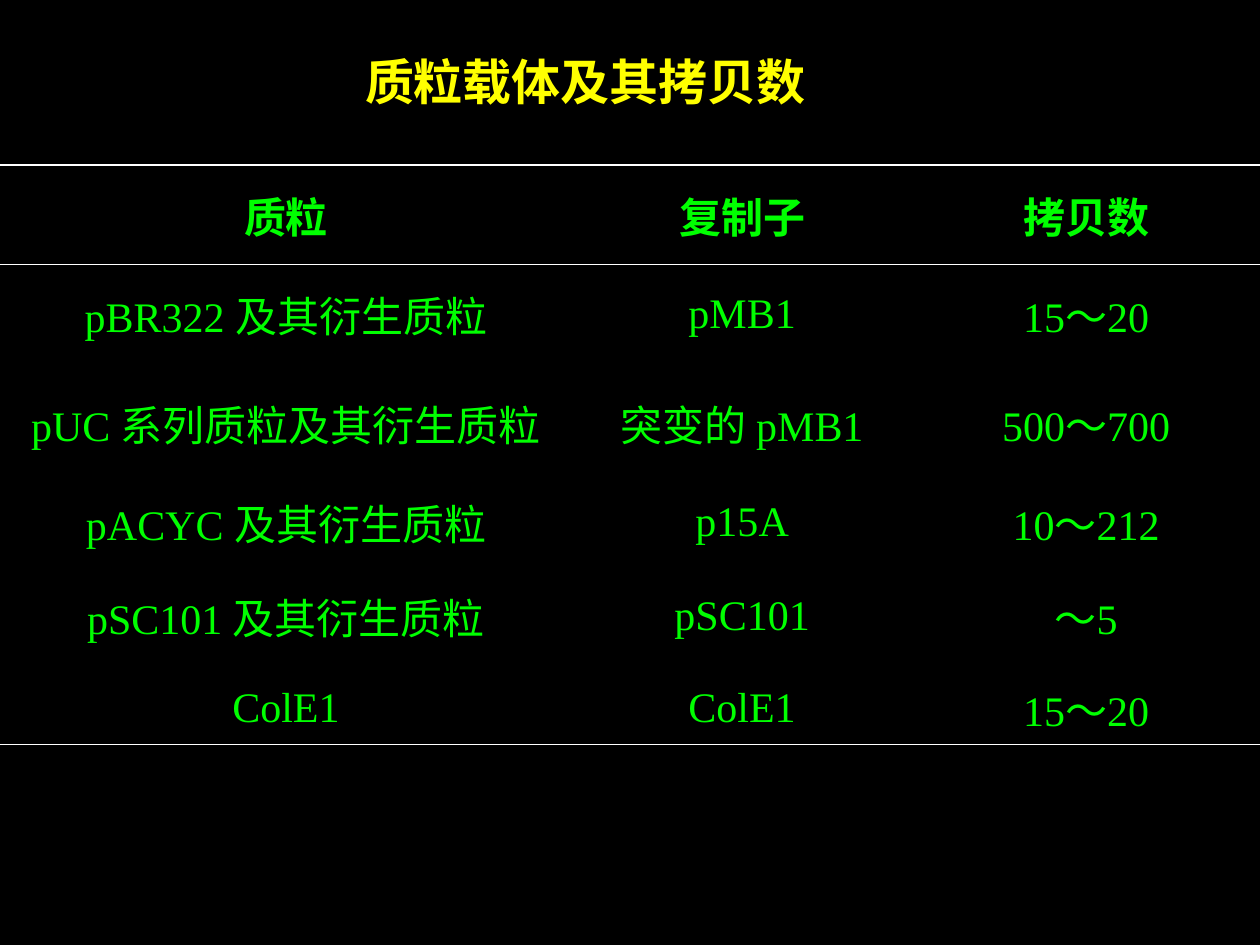
import dataclasses

import lxml.etree
import pptx
import pptx.dml.color
import pptx.enum.text
import pptx.oxml.ns
import pptx.util
from pptx.util import Cm


@dataclasses.dataclass(frozen=True)
class Theme:
    background: str = "000000"
    title: str = "FFFF00"
    body: str = "00FF00"
    rule: str = "FFFFFF"
    title_font: str = "Arial"
    body_font: str = "Times New Roman"
    title_size: int = 28
    body_size: int = 24
    rule_width: int = 1


THEME = Theme()

COLUMN_WIDTHS = (11.53, 6.86, 7.01)
ROW_HEIGHTS = (2.0, 2.0, 2.39, 1.6, 2.22, 1.47)
PLASMIDS = (
    ("质粒", "复制子", "拷贝数"),
    ("pBR322 及其衍生质粒", "pMB1", "15～20"),
    ("pUC 系列质粒及其衍生质粒", "突变的 pMB1", "500～700"),
    ("pACYC 及其衍生质粒", "p15A", "10～212"),
    ("pSC101 及其衍生质粒", "pSC101", "～5"),
    ("ColE1", "ColE1", "15～20"),
)


def rgb(value):
    return pptx.dml.color.RGBColor.from_string(value)


def format_runs(paragraph, name, size, color, bold):
    for run in paragraph.runs:
        run.font.name = name
        run.font.size = pptx.util.Pt(size)
        run.font.color.rgb = rgb(color)
        run.font.bold = bold


def set_borders(cell, ruled_sides):
    """Rule the given sides (letters of "LRTB") and clear the others."""
    qn = pptx.oxml.ns.qn
    properties = cell._tc.get_or_add_tcPr()
    for index, side in enumerate("LRTB"):
        line = lxml.etree.Element(qn(f"a:ln{side}"))
        if side in ruled_sides:
            line.set("w", str(pptx.util.Pt(THEME.rule_width)))
            fill = lxml.etree.SubElement(line, qn("a:solidFill"))
            lxml.etree.SubElement(fill, qn("a:srgbClr"), val=THEME.rule)
        else:
            lxml.etree.SubElement(line, qn("a:noFill"))
        properties.insert(index, line)


def add_title(slide, left, top, width, height):
    shape = slide.shapes.add_textbox(left, top, width, height)
    frame = shape.text_frame
    frame.text = "质粒载体及其拷贝数"
    frame.word_wrap = False
    frame.auto_size = pptx.enum.text.MSO_AUTO_SIZE.SHAPE_TO_FIT_TEXT
    frame.vertical_anchor = pptx.enum.text.MSO_ANCHOR.MIDDLE
    format_runs(frame.paragraphs[0], THEME.title_font, THEME.title_size,
                THEME.title, True)


def fill_cell(cell, text, is_header, ruled_sides):
    cell.fill.background()
    set_borders(cell, ruled_sides)
    cell.vertical_anchor = pptx.enum.text.MSO_ANCHOR.MIDDLE
    cell.text_frame.text = text
    paragraph = cell.text_frame.paragraphs[0]
    paragraph.alignment = pptx.enum.text.PP_ALIGN.CENTER
    format_runs(paragraph, THEME.body_font, THEME.body_size, THEME.body, is_header)


def add_plasmid_table(slide, left, top, width, height):
    """Add a table ruled above and below its header and below its last row."""
    table = slide.shapes.add_table(
        len(PLASMIDS), len(COLUMN_WIDTHS), left, top, width, height).table
    table.first_row = False
    table.horz_banding = False
    for column, share in zip(table.columns, COLUMN_WIDTHS):
        column.width = round(width * share / sum(COLUMN_WIDTHS))
    for row, share in zip(table.rows, ROW_HEIGHTS):
        row.height = round(height * share / sum(ROW_HEIGHTS))

    ruled_sides = {0: "TB", 1: "T", len(PLASMIDS) - 1: "B"}
    for row_index, texts in enumerate(PLASMIDS):
        for column_index, text in enumerate(texts):
            fill_cell(table.cell(row_index, column_index), text,
                      row_index == 0, ruled_sides.get(row_index, ""))


def main():
    presentation = pptx.Presentation()
    presentation.slide_width = Cm(25.4)
    presentation.slide_height = Cm(19.05)
    slide = presentation.slides.add_slide(presentation.slide_layouts[6])
    slide.background.fill.solid()
    slide.background.fill.fore_color.rgb = rgb(THEME.background)

    add_title(slide, Cm(7.11), Cm(0.91), Cm(9.45), Cm(1.45))
    add_plasmid_table(slide, Cm(0), Cm(3.33), presentation.slide_width, Cm(11.68))
    presentation.save("out.pptx")


if __name__ == "__main__":
    main()
